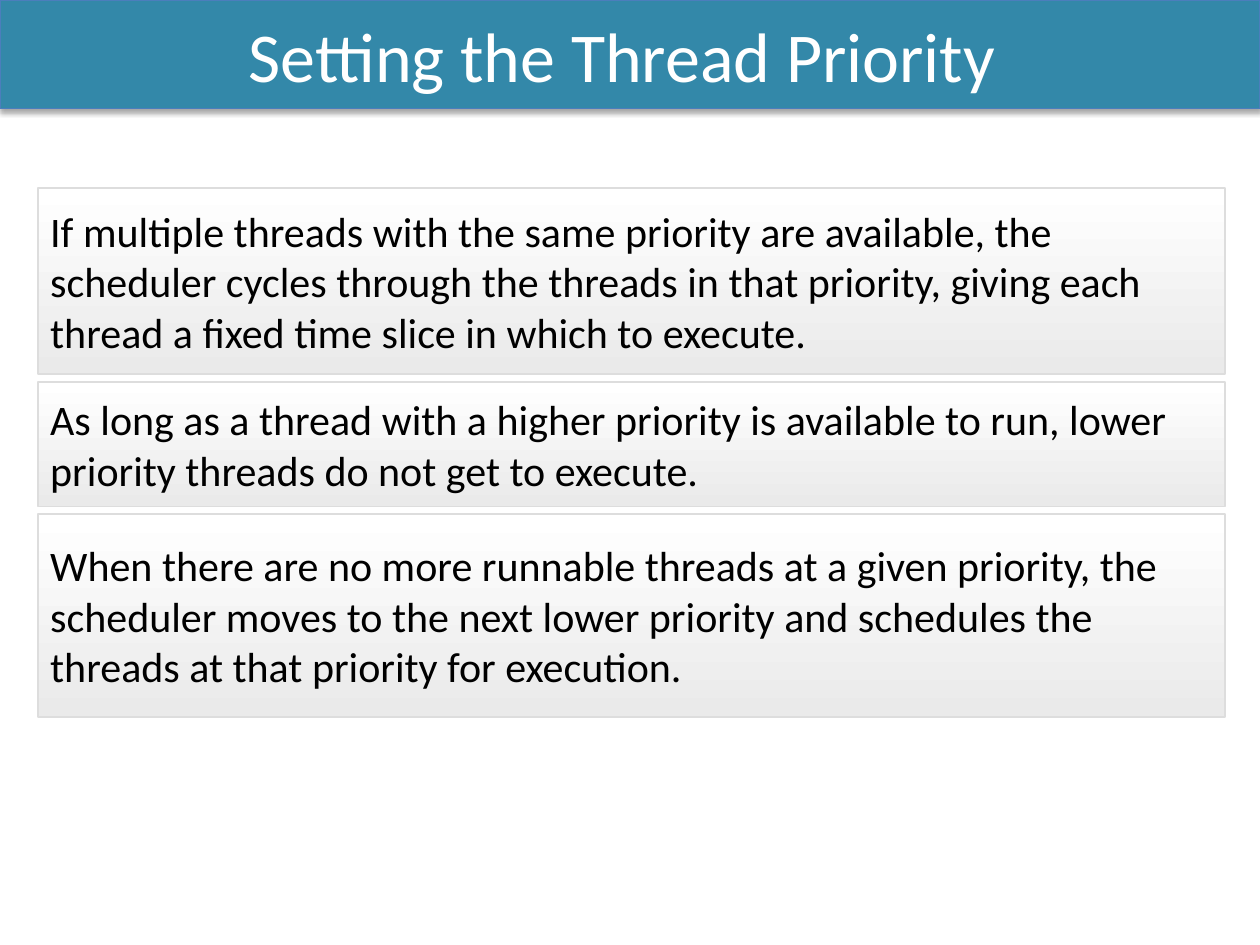
from pptx import Presentation as Deck
from pptx.dml.color import RGBColor as Rgb
from pptx.enum.shapes import MSO_SHAPE as Shape
from pptx.enum.text import MSO_ANCHOR as Anchor, MSO_AUTO_SIZE as Fit, PP_ALIGN as Align
from pptx.oxml import parse_xml
from pptx.oxml.ns import nsdecls
from pptx.util import Inches, Pt

WIDE, HIGH = Inches(10), Inches(7.5)
LEFT, TOP, SPAN, GAP = 0.03, 1.49 / 7.5, 0.942, 0.06 / 7.5
RULES = [
    (1.48 / 7.5, "If multiple threads with the same priority are available, the "
     "scheduler cycles through the threads in that priority, giving each thread "
     "a fixed time slice in which to execute."),
    (0.99 / 7.5, "As long as a thread with a higher priority is available to run, "
     "lower priority threads do not get to execute."),
    (1.61 / 7.5, "When there are no more runnable threads at a given priority, the "
     "scheduler moves to the next lower priority and schedules the threads at "
     "that priority for execution."),
]


def tint(code):
    return Rgb.from_string(code)


def area(x, y, w, h):
    return round(x * WIDE), round(y * HIGH), round(w * WIDE), round(h * HIGH)


def write(item, text, size=24, color="000000", align=Align.LEFT, font="Calibri"):
    frame = item.text_frame
    frame.word_wrap = True
    frame.auto_size = Fit.NONE
    frame.vertical_anchor = Anchor.MIDDLE
    para = frame.paragraphs[0]
    para.alignment = align
    run = para.add_run()
    run.text = text
    run.font.size = Pt(size)
    run.font.name = font
    run.font.color.rgb = tint(color)


def edge(item, color, width):
    item.line.color.rgb = tint(color)
    item.line.width = Pt(width)


def shade(item, color, alpha, blur, dist):
    item._element.spPr.append(parse_xml(
        f'<a:effectLst {nsdecls("a")}><a:outerShdw blurRad="{Pt(blur)}" '
        f'dist="{Pt(dist)}" dir="5400000" rotWithShape="0">'
        f'<a:srgbClr val="{color}"><a:alpha val="{alpha * 1000}"/></a:srgbClr>'
        '</a:outerShdw></a:effectLst>'))


def banner(slide, text):
    title = slide.shapes.title
    title.left, title.top, title.width, title.height = area(0, 0, 1, 0.86 / 7.5)
    title.fill.solid()
    title.fill.fore_color.rgb = tint("3388A9")
    edge(title, "4B7EBC", 0.75)
    shade(title, "000000", 35, 3.1, 1.8)
    write(title, text, size=40, color="FFFFFF", align=Align.CENTER)


def panel(slide, top, high, text):
    box = slide.shapes.add_shape(Shape.RECTANGLE, *area(LEFT, top, SPAN, high))
    box.shadow.inherit = False
    box.fill.gradient()
    box.fill.gradient_angle = 270
    for stop, color in zip(box.fill.gradient_stops, ("FFFFFF", "EAEAEA")):
        stop.color.rgb = tint(color)
    edge(box, "DDDDDD", 1)
    write(box, text)


def main():
    deck = Deck()
    deck.slide_width, deck.slide_height = WIDE, HIGH
    slide = deck.slides.add_slide(deck.slide_layouts[5])
    banner(slide, "Setting the Thread Priority ")
    top = TOP
    for high, text in RULES:
        panel(slide, top, high, text)
        top += high + GAP
    deck.save("out.pptx")


main()
